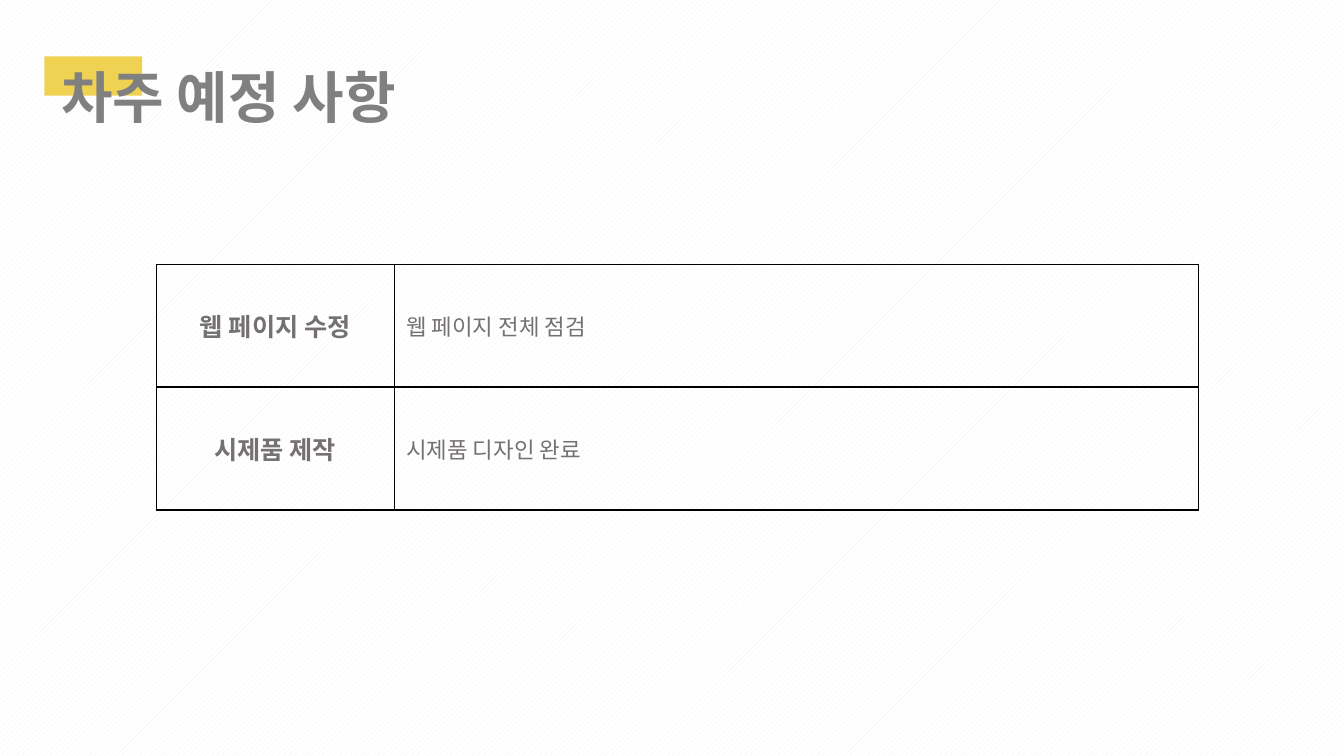
from lxml.etree import SubElement
from pptx import Presentation
from pptx.dml.color import RGBColor
from pptx.enum.dml import MSO_PATTERN
from pptx.enum.shapes import MSO_SHAPE
from pptx.enum.text import MSO_ANCHOR, MSO_AUTO_SIZE, PP_ALIGN
from pptx.oxml.ns import qn
from pptx.util import Inches, Pt

FONT = "Noto Sans CJK KR"
COLORS = {
    "stripe": "F2F2F2",
    "paper": "FFFFFF",
    "accent": "F0D252",
    "title": "808080",
    "body": "767171",
    "border": "000000",
}
PLANS = [
    ("웹 페이지 수정", "웹 페이지 전체 점검"),
    ("시제품 제작", "시제품 디자인 완료"),
]
STYLES = [
    {"size": 18, "bold": True, "align": PP_ALIGN.CENTER},
    {"size": 16, "bold": False, "align": PP_ALIGN.LEFT},
]
WIDTHS = [2.36, 7.98]
HEIGHT = 1.22


def rgb(name):
    return RGBColor.from_string(COLORS[name])


def write(frame, text, color, size, bold, align=PP_ALIGN.LEFT):
    """Put one styled run into the frame, with the font for Korean too."""
    para = frame.paragraphs[0]
    para.alignment = align
    run = para.add_run()
    run.text = text
    looks = {"name": FONT, "size": Pt(size), "bold": bold}
    for key, value in looks.items():
        setattr(run.font, key, value)
    run.font.color.rgb = rgb(color)
    SubElement(run.font._element, qn("a:ea"), typeface=FONT)


deck = Presentation()
deck.slide_width = Inches(13.33)
deck.slide_height = Inches(7.5)
slide = deck.slides.add_slide(deck.slide_layouts[6])

# Striped background
fill = slide.background.fill
fill.patterned()
fill.pattern = MSO_PATTERN.WIDE_UPWARD_DIAGONAL
fill.fore_color.rgb = rgb("stripe")
fill.back_color.rgb = rgb("paper")

# Title over its accent block
accent = slide.shapes.add_shape(
    MSO_SHAPE.RECTANGLE, Inches(0.44), Inches(0.56), Inches(0.97), Inches(0.39))
accent.shadow.inherit = False
accent.fill.solid()
accent.fill.fore_color.rgb = rgb("accent")
accent.line.fill.background()

title = slide.shapes.add_textbox(
    Inches(0.51), Inches(0.57), Inches(7.89), Inches(0.77)).text_frame
title.word_wrap = True
title.auto_size = MSO_AUTO_SIZE.SHAPE_TO_FIT_TEXT
write(title, "차주 예정 사항", "title", 40, True)

# Table of plans
table = slide.shapes.add_table(
    len(PLANS), len(WIDTHS), Inches(1.55), Inches(2.62),
    Inches(sum(WIDTHS)), Inches(HEIGHT * len(PLANS))).table
table.first_row = False
table.horz_banding = False
for column, width in zip(table.columns, WIDTHS):
    column.width = Inches(width)

layout = {
    "vertical_anchor": MSO_ANCHOR.MIDDLE,
    "margin_left": Inches(0.12),
    "margin_right": Inches(0.12),
    "margin_top": Inches(0.06),
    "margin_bottom": Inches(0.06),
}
for row, plan in zip(table.rows, PLANS):
    row.height = Inches(HEIGHT)
    for cell, text, style in zip(row.cells, plan, STYLES):
        for key, value in layout.items():
            setattr(cell, key, value)
        write(cell.text_frame, text, "body", **style)
        props = cell._tc.get_or_add_tcPr()
        for side in ("lnL", "lnR", "lnT", "lnB"):
            line = SubElement(props, qn(f"a:{side}"), w=str(Pt(1)))
            solid = SubElement(line, qn("a:solidFill"))
            SubElement(solid, qn("a:srgbClr"), val=COLORS["border"])
        cell.fill.background()

deck.save("out.pptx")
